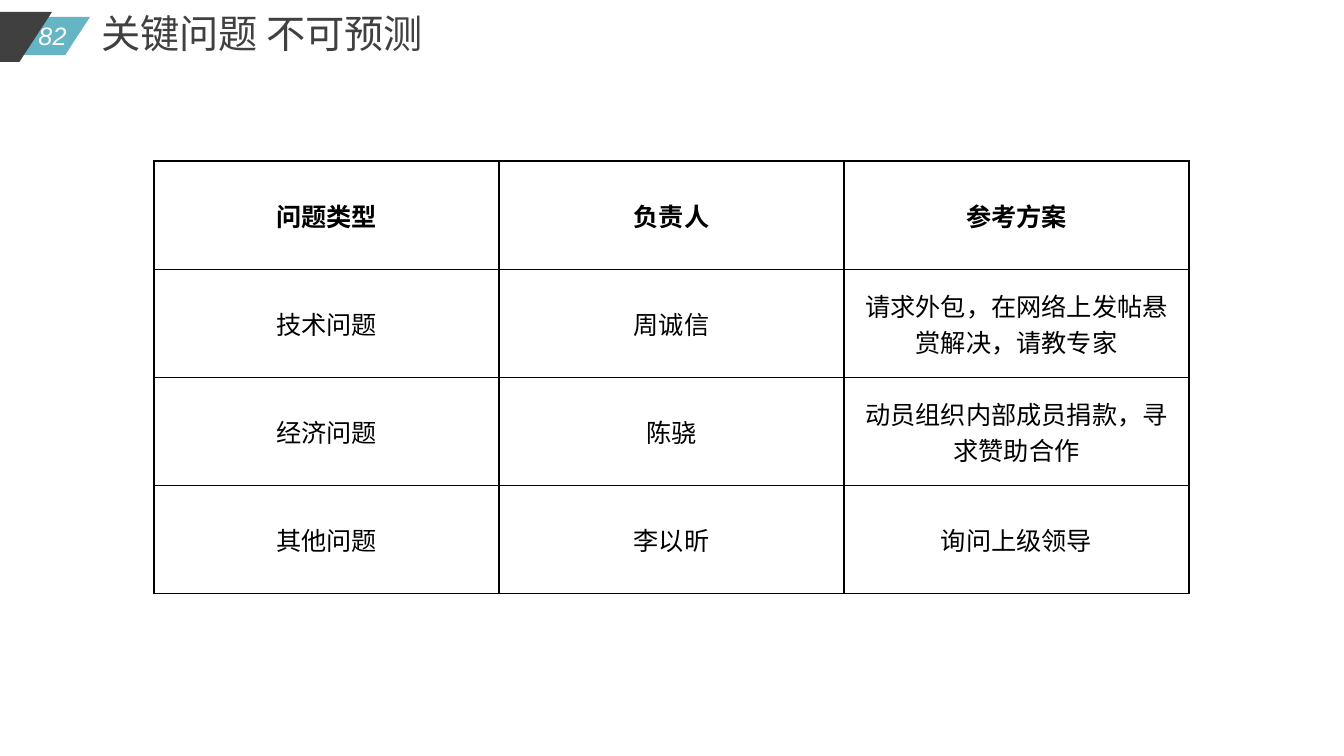
"""Build the slide that lists key problems, their owners and solutions."""
from dataclasses import dataclass

from lxml import etree
from pptx import Presentation
from pptx import util as u
from pptx.dml.color import RGBColor
from pptx.enum import shapes, text
from pptx.oxml import ns


@dataclass(frozen=True)
class Theme:
    teal: str = "66B5C4"
    dark: str = "404040"
    white: str = "FFFFFF"
    black: str = "000000"
    latin: str = "Arial"
    cjk: str = "Noto Sans CJK SC"
    title_pt: int = 28
    body_pt: int = 18
    border_pt: int = 1


@dataclass(frozen=True)
class Box:
    left: int
    top: int
    width: int
    height: int

    def emu(self) -> tuple:
        return px(self.left), px(self.top), px(self.width), px(self.height)


@dataclass(frozen=True)
class Banner:
    box: Box
    color: str


THEME = Theme()
EMU_PER_PX = 914400 / 100.8
SLANT = 0.652
BANNERS = [
    Banner(Box(-111, 17, 201, 38), THEME.teal),
    Banner(Box(-210, 12, 262, 50), THEME.dark),
]
NUMBER_BOX = Box(27, 15, 51, 40)
TITLE_BOX = Box(91, 4, 348, 57)
TABLE_BOX = Box(154, 161, 1035, 433)
ROWS = [
    ("问题类型", "负责人", "参考方案"),
    ("技术问题", "周诚信", "请求外包，在网络上发帖悬赏解决，请教专家"),
    ("经济问题", "陈骁", "动员组织内部成员捐款，寻求赞助合作"),
    ("其他问题", "李以昕", "询问上级领导"),
]


def px(n: float) -> int:
    return u.Emu(round(n * EMU_PER_PX))


def rgb(color: str) -> RGBColor:
    return RGBColor.from_string(color)


def write(tf, words: str, size: int, color: str, font: str, align,
          bold: bool = False, italic: bool = False) -> None:
    tf.text = words
    p = tf.paragraphs[0]
    p.alignment = align
    p.font.size = u.Pt(size)
    p.font.name = font
    p.font.bold = bold
    p.font.italic = italic
    p.font.color.rgb = rgb(color)
    defaults = p._p.get_or_add_pPr().find(ns.qn("a:defRPr"))
    etree.SubElement(defaults, ns.qn("a:ea"), typeface=THEME.cjk)


def add_banner(s, banner: Banner) -> None:
    sp = s.shapes.add_shape(shapes.MSO_SHAPE.PARALLELOGRAM, *banner.box.emu())
    sp.adjustments[0] = SLANT
    sp.shadow.inherit = False
    sp.fill.solid()
    sp.fill.fore_color.rgb = rgb(banner.color)
    sp.line.fill.background()


def add_number(s, number: str) -> None:
    tf = s.shapes.add_textbox(*NUMBER_BOX.emu()).text_frame
    tf.word_wrap = False
    write(tf, number, THEME.body_pt, THEME.white, THEME.latin,
          text.PP_ALIGN.CENTER, italic=True)


def set_title(s, words: str) -> None:
    sp = s.shapes.title
    sp.left, sp.top, sp.width, sp.height = TITLE_BOX.emu()
    tf = sp.text_frame
    tf.word_wrap = False
    tf.auto_size = text.MSO_AUTO_SIZE.SHAPE_TO_FIT_TEXT
    tf.vertical_anchor = text.MSO_ANCHOR.TOP
    write(tf, words, THEME.title_pt, THEME.dark, THEME.cjk, text.PP_ALIGN.LEFT)


def add_borders(cell) -> None:
    props = cell._tc.get_or_add_tcPr()
    for side in ("lnL", "lnR", "lnT", "lnB"):
        line = etree.SubElement(props, ns.qn(f"a:{side}"),
                                w=str(u.Pt(THEME.border_pt)))
        fill = etree.SubElement(line, ns.qn("a:solidFill"))
        etree.SubElement(fill, ns.qn("a:srgbClr"), val=THEME.black)


def add_problem_table(s) -> None:
    table = s.shapes.add_table(len(ROWS), len(ROWS[0]), *TABLE_BOX.emu()).table
    table.first_row = False
    table.horz_banding = False
    for i, row in enumerate(ROWS):
        for j, words in enumerate(row):
            cell = table.cell(i, j)
            cell.vertical_anchor = text.MSO_ANCHOR.MIDDLE
            add_borders(cell)
            cell.fill.solid()
            cell.fill.fore_color.rgb = rgb(THEME.white)
            write(cell.text_frame, words, THEME.body_pt, THEME.black,
                  THEME.latin, text.PP_ALIGN.CENTER, bold=i == 0)


def main() -> None:
    prs = Presentation()
    prs.slide_width, prs.slide_height = px(1344), px(756)
    s = prs.slides.add_slide(prs.slide_layouts.get_by_name("Title Only"))
    for banner in BANNERS:
        add_banner(s, banner)
    add_number(s, "82")
    set_title(s, "关键问题 不可预测")
    add_problem_table(s)
    prs.save("out.pptx")


if __name__ == "__main__":
    main()
